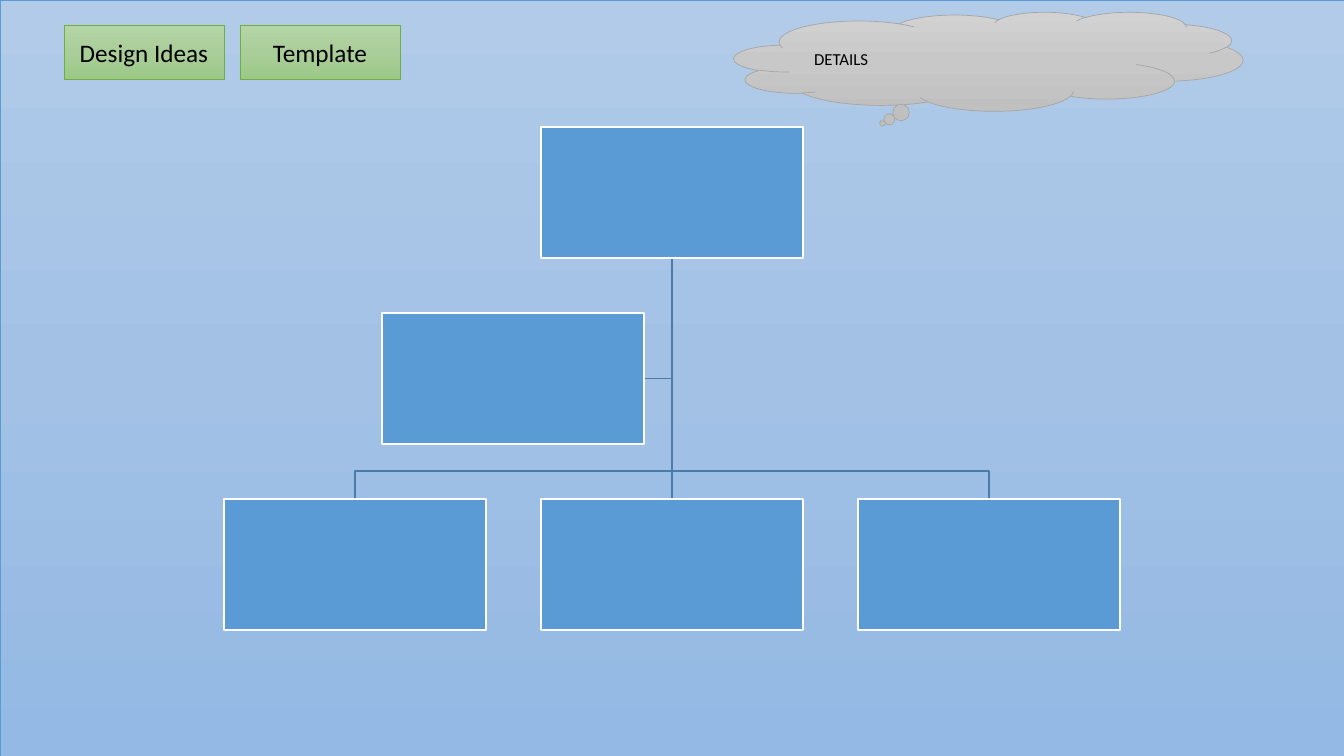
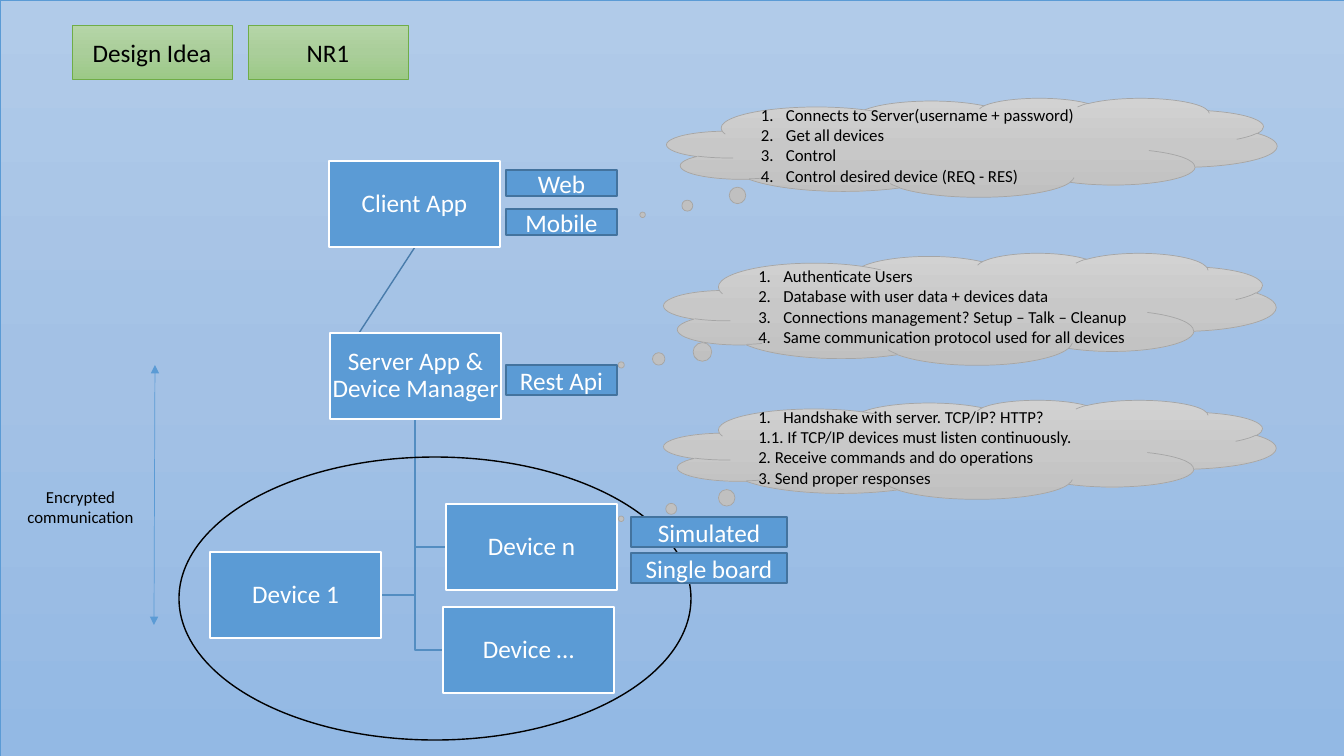
from copy import deepcopy

from lxml.etree import SubElement
from pptx import Presentation
from pptx.dml.color import RGBColor
from pptx.enum.shapes import MSO_CONNECTOR, MSO_SHAPE
from pptx.enum.text import PP_ALIGN
from pptx.oxml.ns import qn
from pptx.util import Emu, Pt

SLIDE_W, SLIDE_H = 1344, 756
EMU_PER_PX = 12192000 / SLIDE_W

BLACK = RGBColor(0x00, 0x00, 0x00)
WHITE = RGBColor(0xFF, 0xFF, 0xFF)
BLUE = RGBColor(0x5B, 0x9B, 0xD5)
TAG_EDGE = RGBColor(0x43, 0x73, 0x9E)
LINK_DARK = RGBColor(0x49, 0x7C, 0xAB)
LINK_LIGHT = RGBColor(0x53, 0x8D, 0xC1)
GREEN_EDGE = RGBColor(0x70, 0xAD, 0x47)
GREY_EDGE = RGBColor(0xA5, 0xA5, 0xA5)
SKY = [RGBColor(0xB1, 0xCB, 0xE9), RGBColor(0xA3, 0xC1, 0xE5), RGBColor(0x93, 0xB9, 0xE4)]
GREENS = [RGBColor(0xB5, 0xD5, 0xA7), RGBColor(0xAA, 0xCE, 0x9A), RGBColor(0x9C, 0xC9, 0x87)]
GREYS = [RGBColor(0xD2, 0xD2, 0xD2), RGBColor(0xC8, 0xC8, 0xC8), RGBColor(0xC0, 0xC0, 0xC0)]

FONT = "Calibri"
LABEL_SIZE, NOTE_SIZE = 18, 12
LIST_INDENT = 25


def px(length):
    return Emu(round(length * EMU_PER_PX))


# Shared drawing helpers
def fill_gradient(shape, colors):
    """Fill from top to bottom with three evenly spaced colours."""
    shape.fill.gradient()
    shape.fill.gradient_angle = 270
    first = shape._element.spPr.find(".//" + qn("a:gs"))
    first.addnext(deepcopy(first))
    for i, (stop, color) in enumerate(zip(shape.fill.gradient_stops, colors)):
        stop.position = i / 2
        stop.color.rgb = color


def add_figure(slide, preset, box, fill, edge, edge_width=1):
    figure = slide.shapes.add_shape(preset, *map(px, box))
    figure.shadow.inherit = False
    if fill is None:
        figure.fill.background()
    elif isinstance(fill, list):
        fill_gradient(figure, fill)
    else:
        figure.fill.solid()
        figure.fill.fore_color.rgb = fill
    figure.line.color.rgb = edge
    figure.line.width = Pt(edge_width)
    return figure


def write(shape, text, size, color, align=PP_ALIGN.CENTER):
    frame = shape.text_frame
    frame.word_wrap = True
    frame.text = text
    for paragraph in frame.paragraphs:
        paragraph.alignment = align
        for run in paragraph.runs:
            run.font.name = FONT
            run.font.size = Pt(size)
            run.font.color.rgb = color


def number(paragraph):
    props = paragraph._p.get_or_add_pPr()
    props.set("marL", str(px(LIST_INDENT)))
    props.set("indent", str(-px(LIST_INDENT)))
    SubElement(props, qn("a:buAutoNum"), type="arabicPeriod")


def add_line(slide, start, end, color, width):
    line = slide.shapes.add_connector(
        MSO_CONNECTOR.STRAIGHT, *map(px, start), *map(px, end))
    line.line.color.rgb = color
    line.line.width = Pt(width)
    SubElement(line._element.spPr, qn("a:effectLst"))
    return line


def add_link(slide, points, color):
    if len(points) == 2:
        add_line(slide, *points, color, 1)
        return
    corners = [(px(x), px(y)) for x, y in points]
    builder = slide.shapes.build_freeform(*corners[0])
    builder.add_line_segments(corners[1:], close=False)
    link = builder.convert_to_shape()
    link.shadow.inherit = False
    link.fill.background()
    link.line.color.rgb = color
    link.line.width = Pt(1)


# Parts shared by both slides
def add_design_slide(deck, titles, left):
    """Blank slide with the sky background and a row of green titles."""
    slide = deck.slides.add_slide(deck.slide_layouts[6])
    add_figure(slide, MSO_SHAPE.RECTANGLE, (0, 0, SLIDE_W, SLIDE_H), SKY, BLUE, 0.5)
    for i, title in enumerate(titles):
        box = (left + i * 176, 25, 160, 54)
        plate = add_figure(slide, MSO_SHAPE.RECTANGLE, box, GREENS, GREEN_EDGE, 0.5)
        write(plate, title, LABEL_SIZE, BLACK)
    return slide


def add_node(slide, box, label=""):
    node = add_figure(slide, MSO_SHAPE.RECTANGLE, box, BLUE, WHITE)
    if label:
        write(node, label, LABEL_SIZE, WHITE)
        frame = node.text_frame
        frame.margin_left = frame.margin_right = px(1)
        frame.margin_top = frame.margin_bottom = px(1)
        frame.paragraphs[0].line_spacing = 0.9


def add_cloud(slide, box, lines, numbered=0, tail=None):
    """Thought cloud; the first `numbered` lines get automatic numbers."""
    cloud = add_figure(slide, MSO_SHAPE.CLOUD_CALLOUT, box, GREYS, GREY_EDGE, 0.5)
    if tail:
        cloud.adjustments[0], cloud.adjustments[1] = tail
    write(cloud, "\n".join(lines), NOTE_SIZE, BLACK, PP_ALIGN.LEFT)
    for paragraph in cloud.text_frame.paragraphs[:numbered]:
        number(paragraph)


# Slide 1: empty hierarchy
def add_empty_hierarchy(slide, box):
    left, top, width, height = box
    node_w, node_h, drop = 262, 131, 28
    pitch = (width - node_w) / 2
    center = left + width / 2
    head_bottom = top + node_h
    row_top = top + height - node_h
    helper_left = center - drop - node_w
    helper_top = (top + row_top) / 2
    helper_middle = helper_top + node_h / 2

    add_link(slide, [(center, head_bottom), (center, helper_middle),
                     (center - drop, helper_middle)], LINK_DARK)
    for step in (1, 0, -1):
        x = center + step * pitch
        bus = [(center, row_top - drop), (x, row_top - drop)] if step else []
        add_link(slide, [(center, head_bottom), *bus, (x, row_top)], LINK_DARK)

    places = [(left + pitch, top)]
    places += [(left + i * pitch, row_top) for i in range(3)]
    places.append((helper_left, helper_top))
    for x, y in places:
        add_node(slide, (x, y, node_w, node_h))


# Slide 2: client, server and devices
def add_system_tree(slide, box):
    left, top = box[:2]
    node_w, node_h = 171, 86
    trunk = left + 205
    client = (left + 119, top)
    server = (left + 120, top + 172)
    server_bottom = server[1] + node_h
    devices = [("Device n", left + 236, top + 343, 0),
               ("Device …", left + 233, top + 446, 0),
               ("Device 1", left, top + 391, node_w)]

    for _, x, y, joint in devices:
        middle = y + node_h / 2
        add_link(slide, [(trunk, server_bottom), (trunk, middle), (x + joint, middle)],
                 LINK_LIGHT)
    add_link(slide, [(trunk, top + node_h), (left + 149, server[1])], LINK_DARK)

    add_node(slide, (*client, node_w, node_h), "Client App")
    add_node(slide, (*server, node_w, node_h), "Server App & Device Manager")
    for label, x, y, _ in devices:
        add_node(slide, (x, y, node_w, node_h), label)


def add_tags(slide, box, labels, pitch):
    left, top, width, height = box
    for i, label in enumerate(labels):
        tag = add_figure(slide, MSO_SHAPE.RECTANGLE,
                         (left, top + i * pitch, width, height), BLUE, TAG_EDGE)
        write(tag, label, LABEL_SIZE, WHITE)


def add_encryption_span(slide, box):
    left, top, width, height = box
    span = add_line(slide, (left + width, top), (left + width - 1, top + height), BLUE, 0.5)
    outline = span.line._get_or_add_ln()
    for end in ("a:headEnd", "a:tailEnd"):
        SubElement(outline, qn(end), type="triangle")
    caption = slide.shapes.add_textbox(px(left), px(top + 117), px(131), px(50))
    write(caption, "Encrypted communication", NOTE_SIZE, BLACK)


def build_template(deck):
    slide = add_design_slide(deck, ["Design Ideas", "Template"], 64)
    add_empty_hierarchy(slide, (224, 127, 896, 503))
    add_cloud(slide, (734, 12, 509, 99), ["DETAILS"])


def build_first_idea(deck):
    slide = add_design_slide(deck, ["Design Idea", "NR1"], 72)
    add_system_tree(slide, (210, 161, 407, 532))
    add_figure(slide, MSO_SHAPE.OVAL, (179, 457, 512, 283), None, BLACK)

    # Notes for client, server and devices
    add_cloud(slide, (667, 98, 610, 99),
              ["Connects to Server(username + password)", "Get all devices",
               "Control", "Control desired device (REQ - RES)"],
              numbered=4, tail=(-0.54, 0.68))
    add_cloud(slide, (664, 253, 612, 112),
              ["Authenticate Users", "Database with user data + devices data",
               "Connections management? Setup – Talk – Cleanup",
               "Same communication protocol used for all devices"],
              numbered=4, tail=(-0.57, 0.5))
    add_cloud(slide, (664, 400, 612, 99),
              ["Handshake with server. TCP/IP? HTTP?",
               "1.1. If TCP/IP devices must listen continuously.",
               "2. Receive commands and do operations", "3. Send proper responses"],
              numbered=1, tail=(-0.57, 0.7))

    # Variants beside each node
    add_tags(slide, (506, 170, 111, 26), ["Web", "Mobile"], 39)
    add_tags(slide, (506, 365, 111, 30), ["Rest Api"], 0)
    add_tags(slide, (631, 517, 156, 30), ["Simulated", "Single board"], 36)

    add_encryption_span(slide, (15, 365, 140, 260))


deck = Presentation()
deck.slide_width, deck.slide_height = px(SLIDE_W), px(SLIDE_H)
build_template(deck)
build_first_idea(deck)
deck.save("out.pptx")
